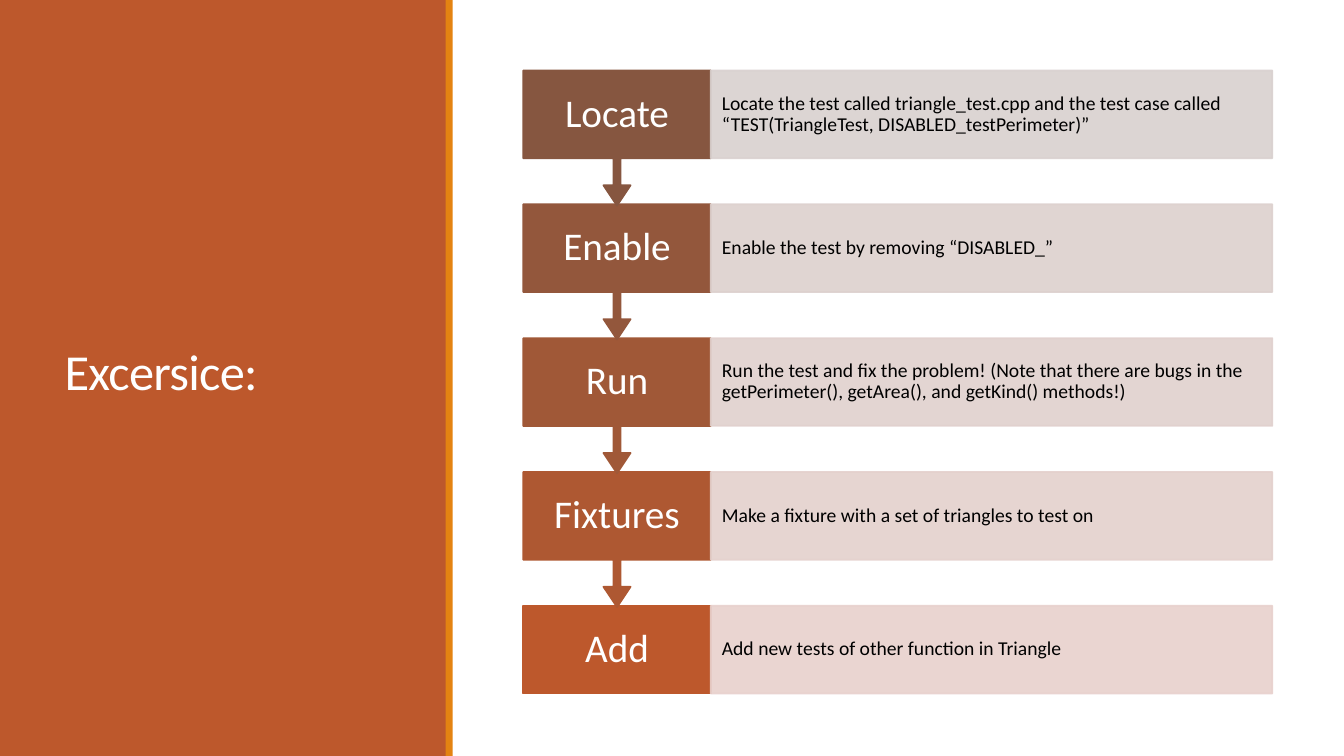
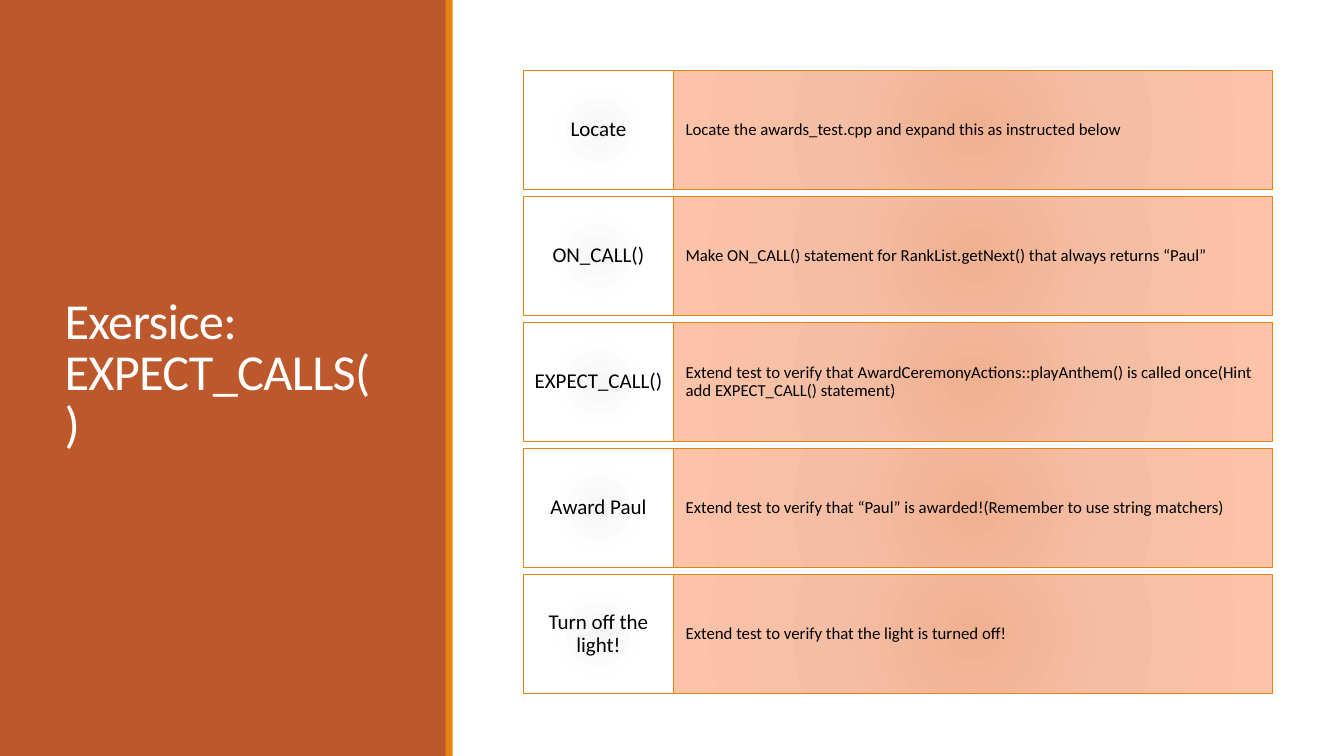
"""Build two exercise slides: a flow of steps and a list of mocking tasks."""
from dataclasses import dataclass

from lxml.etree import SubElement
from pptx import Presentation
from pptx.dml.color import RGBColor
from pptx.enum.shapes import MSO_SHAPE
from pptx.enum.text import MSO_ANCHOR, MSO_AUTO_SIZE, PP_ALIGN
from pptx.oxml import parse_xml
from pptx.oxml.ns import nsdecls, qn
from pptx.util import Inches, Pt

Gradient = tuple[tuple[int, str], ...]


@dataclass(frozen=True)
class Theme:
    font: str = "Calibri"
    panel: str = "BD582C"
    accent: str = "E48312"
    light_text: str = "FFFFFF"
    dark_text: str = "000000"
    title_size: float = 36
    step_size: float = 28
    step_detail_size: float = 14
    task_size: float = 15
    task_detail_size: float = 12
    step_line: float = 1.25
    task_line: float = 1
    task_gradient: Gradient = ((0, "F6F6F6"), (45, "FEFEFE"), (100, "FFFFFF"))
    detail_gradient: Gradient = ((0, "F0B191"), (45, "F5BEA4"), (100, "FDC3A8"))


@dataclass(frozen=True)
class Box:
    left: float
    top: float
    width: float
    height: float


@dataclass(frozen=True)
class Step:
    label: str
    detail: str
    color: str
    tint: str


@dataclass(frozen=True)
class Task:
    label: str
    detail: str


THEME = Theme()
ROWS_LEFT, ROWS_TOP, ROWS_RIGHT = 5.19, 0.7, 12.62

STEPS = (
    Step("Locate", "Locate the test called triangle_test.cpp and the test case called "
         "“TEST(TriangleTest, DISABLED_testPerimeter)”", "865640", "D9D1CF"),
    Step("Enable", "Enable the test by removing “DISABLED_”", "93573C", "DDD1CE"),
    Step("Run", "Run the test and fix the problem! (Note that there are bugs in the "
         "getPerimeter(), getArea(), and getKind() methods!)", "A05837", "E1D1CE"),
    Step("Fixtures", "Make a fixture with a set of triangles to test on", "AE5832", "E4D1CD"),
    Step("Add", "Add new tests of other function in Triangle ", "BD582C", "E8D1CD"),
)

TASKS = (
    Task("Locate", "Locate the awards_test.cpp and expand this as instructed below"),
    Task("ON_CALL()", "Make ON_CALL() statement for RankList.getNext() that always returns “Paul”"),
    Task("EXPECT_CALL()", "Extend test to verify that AwardCeremonyActions::playAnthem() is called "
         "once(Hint add EXPECT_CALL() statement)"),
    Task("Award Paul", "Extend test to verify that “Paul” is awarded!(Remember to use string matchers)"),
    Task("Turn off the light!", "Extend test to verify that the light is turned off!"),
)


def place(shape, box: Box) -> None:
    """Move and size a shape."""
    shape.left, shape.top = Inches(box.left), Inches(box.top)
    shape.width, shape.height = Inches(box.width), Inches(box.height)


def write_text(shape, text: str, *, size: float, color: str = THEME.dark_text,
               align=PP_ALIGN.LEFT, line_spacing: float = 0.9,
               margins: tuple[float, float] = (0.1, 0.05), tracking: int = 0) -> None:
    """Write one formatted, vertically centred paragraph into a shape."""
    frame = shape.text_frame
    frame.word_wrap = True
    frame.auto_size = MSO_AUTO_SIZE.NONE
    frame.vertical_anchor = MSO_ANCHOR.MIDDLE
    frame.margin_left = frame.margin_right = Inches(margins[0])
    frame.margin_top = frame.margin_bottom = Inches(margins[1])
    paragraph = frame.paragraphs[0]
    paragraph.alignment = align
    paragraph.line_spacing = line_spacing
    run = paragraph.add_run()
    run.text = text
    run.font.name = THEME.font
    run.font.size = Pt(size)
    run.font.color.rgb = RGBColor.from_string(color)
    if tracking:
        run.font._element.set("spc", str(tracking))


def add_box(slide, box: Box, *, fill: str | Gradient, line: str | None = None,
            line_width: float = 1, opacity: int = 100, kind=MSO_SHAPE.RECTANGLE):
    """Add a preset shape with a solid or circular gradient fill."""
    shape = slide.shapes.add_shape(kind, 0, 0, 0, 0)
    place(shape, box)
    shape.shadow.inherit = False
    if isinstance(fill, str):
        shape.fill.solid()
        shape.fill.fore_color.rgb = RGBColor.from_string(fill)
    else:
        set_gradient(shape, fill)
    if line is None:
        shape.line.fill.background()
    else:
        shape.line.color.rgb = RGBColor.from_string(line)
        shape.line.width = Pt(line_width)
    if opacity < 100:
        for color in list(shape.element.spPr.iter(qn("a:srgbClr"))):
            SubElement(color, qn("a:alpha")).set("val", str(opacity * 1000))
    return shape


def set_gradient(shape, gradient: Gradient) -> None:
    """Fill a shape with a circular gradient."""
    stops = "".join(f'<a:gs pos="{position * 1000}"><a:srgbClr val="{color}"/></a:gs>'
                    for position, color in gradient)
    shape.fill.background()
    properties = shape.element.spPr
    properties.replace(properties.find(qn("a:noFill")), parse_xml(
        f'<a:gradFill {nsdecls("a")} rotWithShape="1"><a:gsLst>{stops}</a:gsLst>'
        '<a:path path="circle"><a:fillToRect l="100000" t="100000" r="100000" b="100000"/>'
        '</a:path></a:gradFill>'))


def add_exercise_slide(presentation, title_text: str):
    """Add a slide with the side panel and its title."""
    slide = presentation.slides.add_slide(presentation.slide_layouts[5])
    add_box(slide, Box(0, 0, 4.43, 7.5), fill=THEME.panel)
    add_box(slide, Box(4.42, 0, 0.07, 7.5), fill=THEME.accent)
    title = slide.shapes.title
    title.element.getparent().append(title.element)
    place(title, Box(0.54, 0.57, 3.37, 6.31))
    write_text(title, title_text, size=THEME.title_size, color=THEME.light_text,
               line_spacing=0.85, tracking=-50)
    return slide


def add_steps(slide, steps: tuple[Step, ...]) -> None:
    """Draw the flow from the last step up, so each arrow tip lies on top."""
    label_width, height, callout_height = 1.86, 0.87, 1.34
    pitch = (6.01 - ROWS_TOP) / (len(steps) - 1)
    detail_left = ROWS_LEFT + label_width
    for index, step in reversed(list(enumerate(steps))):
        top = ROWS_TOP + index * pitch
        is_last = index == len(steps) - 1
        label = add_box(
            slide, Box(ROWS_LEFT, top, label_width, height if is_last else callout_height),
            fill=step.color, line=step.color, line_width=THEME.step_line,
            kind=MSO_SHAPE.RECTANGLE if is_last else MSO_SHAPE.DOWN_ARROW_CALLOUT)
        if not is_last:
            for position, value in enumerate((0.05, 0.1, 0.15, 0.65)):
                label.adjustments[position] = value
        write_text(label, step.label, size=THEME.step_size, color=THEME.light_text,
                   align=PP_ALIGN.CENTER, margins=(0.13, 0.2))
        detail = add_box(slide, Box(detail_left, top, ROWS_RIGHT - detail_left, height),
                         fill=step.tint, line=step.tint, line_width=THEME.step_line, opacity=90)
        write_text(detail, step.detail, size=THEME.step_detail_size, margins=(0.11, 0.19))


def add_tasks(slide, tasks: tuple[Task, ...]) -> None:
    """Draw each task as a label box beside its detail box."""
    label_width, height, pitch = 1.49, 1.18, 1.25
    detail_left = ROWS_LEFT + label_width
    for index, task in enumerate(tasks):
        top = ROWS_TOP + index * pitch
        detail = add_box(slide, Box(detail_left, top, ROWS_RIGHT - detail_left, height),
                         fill=THEME.detail_gradient, line=THEME.accent,
                         line_width=THEME.task_line)
        write_text(detail, task.detail, size=THEME.task_detail_size, margins=(0.12, 0.3))
        label = add_box(slide, Box(ROWS_LEFT, top, label_width, height),
                        fill=THEME.task_gradient, line=THEME.accent, line_width=THEME.task_line)
        write_text(label, task.label, size=THEME.task_size, align=PP_ALIGN.CENTER,
                   margins=(0.08, 0.12))


def main() -> None:
    """Build and save the presentation."""
    presentation = Presentation()
    presentation.slide_width, presentation.slide_height = Inches(13.33), Inches(7.5)
    add_steps(add_exercise_slide(presentation, "Excersice:"), STEPS)
    add_tasks(add_exercise_slide(presentation, "Exersice: EXPECT_CALLS()"), TASKS)
    presentation.save("out.pptx")


main()
